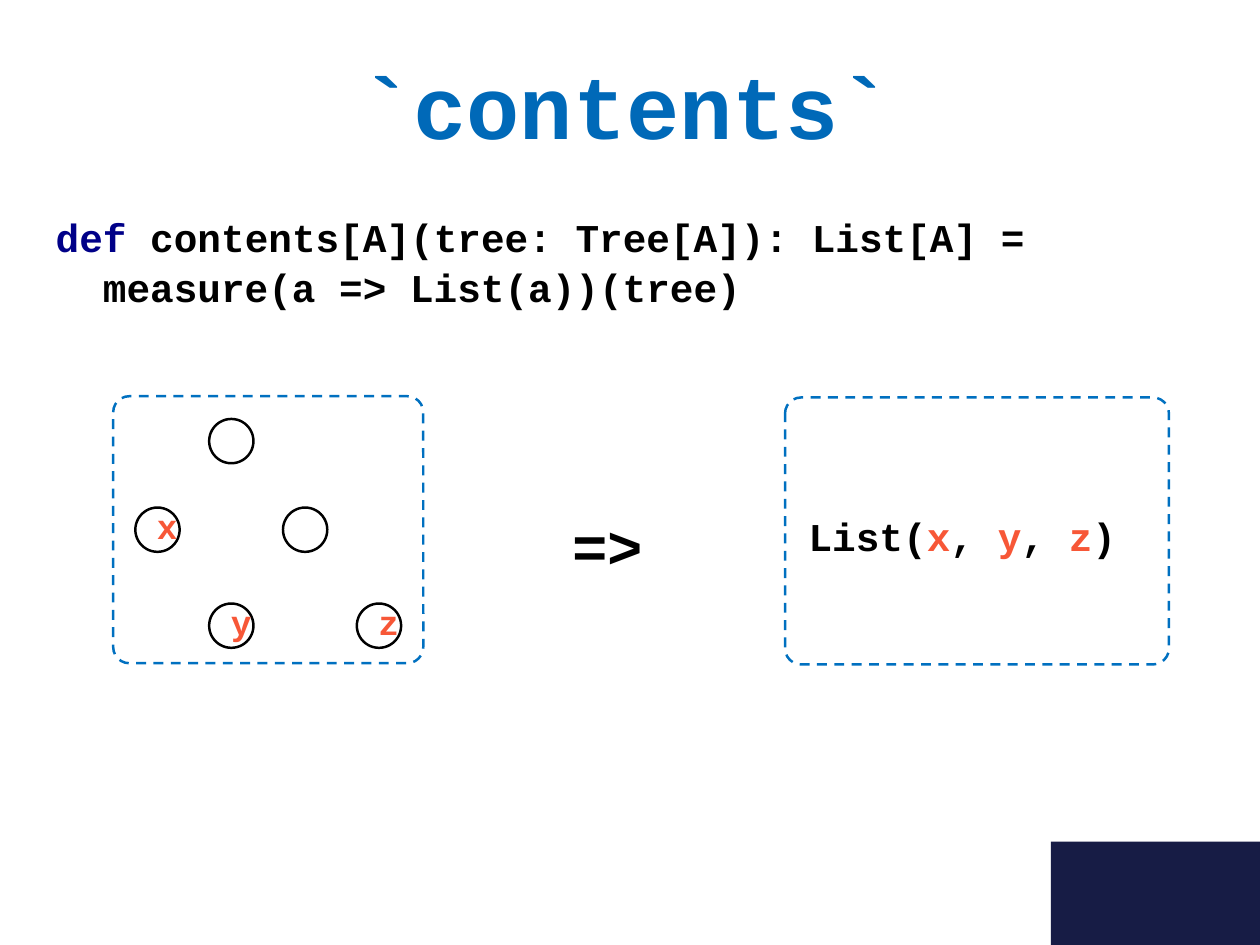
import pptx
import pptx.dml.color
import pptx.enum.dml
import pptx.enum.shapes
import pptx.enum.text
import pptx.oxml
import pptx.oxml.ns
import pptx.util

Pt = pptx.util.Pt
RGB = pptx.dml.color.RGBColor.from_string
MSO = pptx.enum.shapes.MSO_SHAPE
ALIGN = pptx.enum.text.PP_ALIGN
ANCHOR = pptx.enum.text.MSO_ANCHOR

THEME = {
    "font": "Courier New",
    "color": {"title": "0069B8", "keyword": "000088", "ink": "000000",
              "value": "F75737", "frame": "0070C0", "corner": "171C45"},
    "size": {"title": 72, "arrow": 48, "code": 32, "node": 28},
}


def write(s, size, align, anchor, lines, margin=7.2, gap=0):
    tf = s.text_frame
    frame = {"word_wrap": True, "auto_size": pptx.enum.text.MSO_AUTO_SIZE.NONE,
             "vertical_anchor": anchor, "margin_left": Pt(margin),
             "margin_right": Pt(margin), "margin_top": Pt(margin / 2),
             "margin_bottom": Pt(margin / 2)}
    for name, value in frame.items():
        setattr(tf, name, value)
    for i, line in enumerate(lines):
        p = tf.add_paragraph() if i else tf.paragraphs[0]
        pPr = p._p.get_or_add_pPr()
        pPr.set("marL", "0")
        pPr.set("indent", "0")
        pPr.append(pptx.oxml.parse_xml(
            "<a:buNone %s/>" % pptx.oxml.ns.nsdecls("a")))
        for name, value in {"alignment": align, "line_spacing": 1.0,
                            "space_before": Pt(gap if i else 0),
                            "space_after": Pt(0)}.items():
            setattr(p, name, value)
        for text, color in line:
            r = p.add_run()
            r.text = text
            for name, value in {"name": THEME["font"], "bold": True,
                                "size": Pt(THEME["size"][size])}.items():
                setattr(r.font, name, value)
            r.font.color.rgb = RGB(THEME["color"][color])


def draw(kind, box, line=None, fill=None):
    sp = s.shapes.add_shape(kind, *map(Pt, box))
    sp.shadow.inherit = False
    if fill:
        sp.fill.solid()
        sp.fill.fore_color.rgb = RGB(THEME["color"][fill])
    else:
        sp.fill.background()
    if line:
        sp.line.color.rgb = RGB(THEME["color"][line])
        sp.line.width = Pt(2)
    else:
        sp.line.fill.background()
    return sp


prs = pptx.Presentation()
prs.slide_width, prs.slide_height = Pt(1024), Pt(768)
s = prs.slides.add_slide(prs.slide_layouts[1])

draw(MSO.RECTANGLE, (854, 684, 170, 84), fill="corner")

title, code = s.shapes.title, s.placeholders[1]
for sp, box in ((title, (104, 38, 810, 94)), (code, (38, 169.5, 930, 85))):
    for name, value in zip(("left", "top", "width", "height"), box):
        setattr(sp, name, Pt(value))
write(title, "title", ALIGN.CENTER, ANCHOR.TOP, [[("`contents`", "title")]])
write(code, "code", ALIGN.LEFT, ANCHOR.TOP, [
    [("def", "keyword"), (" contents[A](tree: Tree[A]): List[A] =", "ink")],
    [("  measure(a => List(a))(tree)", "ink")],
], gap=2)

for box in ((92, 322, 252, 217), (638, 323, 312, 217)):
    sp = draw(MSO.ROUNDED_RECTANGLE, box, line="frame")
    sp.adjustments[0] = 0.06
    sp.line.dash_style = pptx.enum.dml.MSO_LINE.DASH

node, column = 36, 60
rows = (340.5, 412.5, 490.5)
for col, row, label in ((1, 0, ""), (0, 1, "x"), (2, 1, ""),
                        (1, 2, "y"), (3, 2, "z")):
    x, y = 110 + col * column, rows[row]
    draw(MSO.OVAL, (x, y, node, node), line="ink")
    if label:
        sp = s.shapes.add_textbox(*map(Pt, (x + 8, y - 3, node, node)))
        write(sp, "node", ALIGN.CENTER, ANCHOR.MIDDLE, [[(label, "value")]],
              margin=0)

sp = s.shapes.add_textbox(*map(Pt, (440, 410.5, 108, 65)))
write(sp, "arrow", ALIGN.CENTER, ANCHOR.TOP, [[("=>", "ink")]])

sp = s.shapes.add_textbox(*map(Pt, (650, 413, 282, 46)))
write(sp, "code", ALIGN.JUSTIFY, ANCHOR.TOP, [[
    ("List(", "ink"), ("x", "value"), (", ", "ink"), ("y", "value"),
    (", ", "ink"), ("z", "value"), (")", "ink")]])

prs.save("out.pptx")
